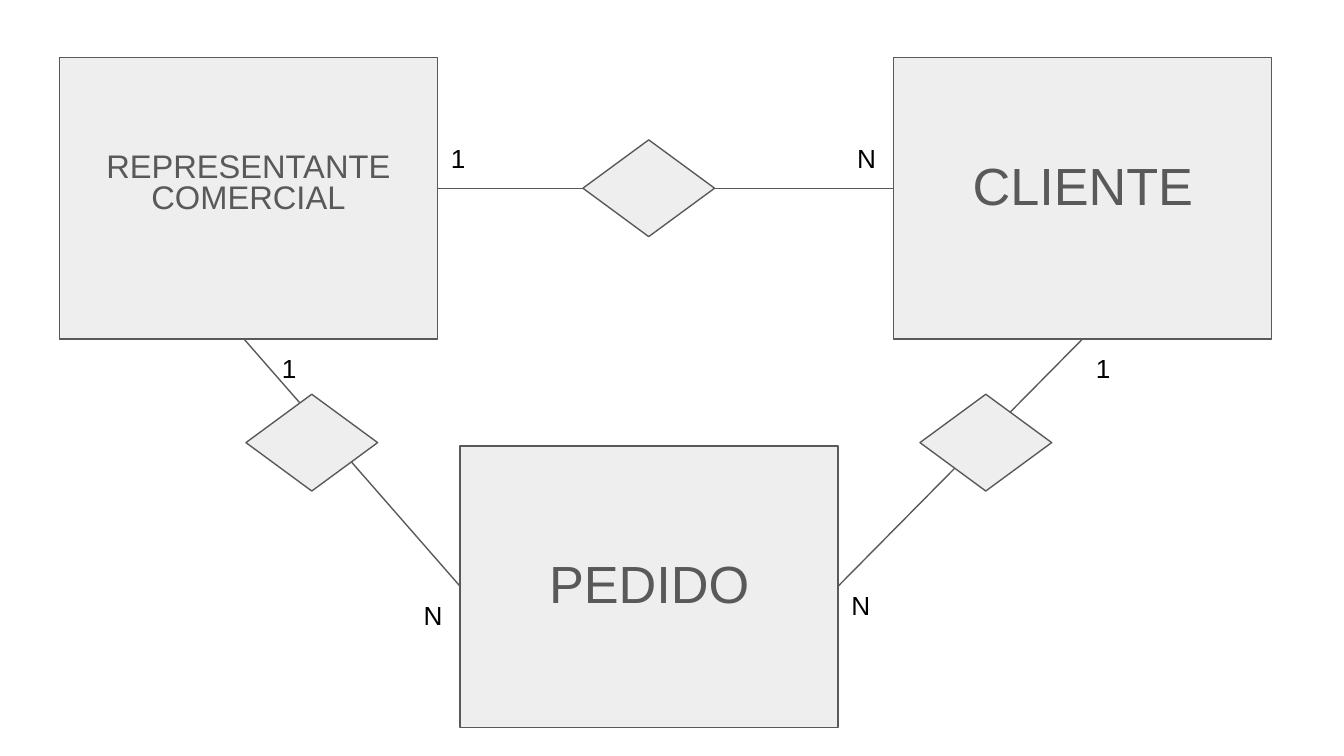
from lxml import etree
from pptx import Presentation
from pptx.dml.color import RGBColor
from pptx.enum.shapes import MSO_CONNECTOR, MSO_SHAPE
from pptx.enum.text import MSO_ANCHOR, MSO_AUTO_SIZE, PP_ALIGN
from pptx.oxml.ns import qn
from pptx.util import Inches, Pt

RECTANGLE = MSO_SHAPE.RECTANGLE
DIAMOND = MSO_SHAPE.DIAMOND
STRAIGHT = MSO_CONNECTOR.STRAIGHT
TOP = MSO_ANCHOR.TOP
LEFT, CENTER = PP_ALIGN.LEFT, PP_ALIGN.CENTER
FIT_SHAPE = MSO_AUTO_SIZE.SHAPE_TO_FIT_TEXT

WIDTH = Inches(10)
HEIGHT = WIDTH * 9 // 16
FILL, GREY, BLACK = "EEEEEE", "595959", "000000"

# Positions and sizes are percentages of the slide's width and height.
ENTITY_SIZE = (28.13, 37.2)
RELATION_SIZE = (9.8, 12.8)
LABEL_SIZE = (3.7, 7.82)
TITLE_HEIGHT = 12.8

UPPER, LOWER = 7.64, 59
UPPER_MIDDLE, LOWER_MIDDLE = 24.9, 77.55
UPPER_BOTTOM = UPPER + ENTITY_SIZE[1]
SELLER, ORDER, CLIENT = 4.43, 34.23, 66.5
SELLER_RIGHT = SELLER + ENTITY_SIZE[0]
ORDER_RIGHT = ORDER + ENTITY_SIZE[0]

ENTITIES = [
    (SELLER, UPPER, UPPER_MIDDLE, "REPRESENTANTE\nCOMERCIAL",
     {"size": 17.5, "spacing": 0.8}),
    (CLIENT, UPPER, UPPER_MIDDLE, "CLIENTE", {"size": 28}),
    (ORDER, LOWER, LOWER_MIDDLE, "PEDIDO", {"size": 28}),
]
LINKS = [
    ((ORDER, LOWER_MIDDLE), (18.15, UPPER_BOTTOM)),
    ((ORDER_RIGHT, LOWER_MIDDLE), (80.55, UPPER_BOTTOM)),
    ((SELLER_RIGHT, UPPER_MIDDLE), (CLIENT, UPPER_MIDDLE)),
]
RELATION_CENTERS = [(73.35, 58.55), (48.27, UPPER_MIDDLE), (23.2, 58.55)]
LABELS = [
    ("1", 20, UPPER_BOTTOM),
    ("1", 80.55, UPPER_BOTTOM),
    ("1", SELLER_RIGHT, UPPER_MIDDLE - LABEL_SIZE[1]),
    ("N", CLIENT - LABEL_SIZE[0], UPPER_MIDDLE - LABEL_SIZE[1]),
    ("N", ORDER_RIGHT, 76.25),
    ("N", ORDER - LABEL_SIZE[0], LOWER_MIDDLE),
]


def color(hex_string):
    return RGBColor.from_string(hex_string)


def place(x, y):
    return round(WIDTH * x / 100), round(HEIGHT * y / 100)


def set_line(line):
    line.color.rgb = color(GREY)
    line.width = Pt(0.75)


def add_block(slide, kind, position, size):
    shape = slide.shapes.add_shape(kind, *place(*position), *place(*size))
    shape.shadow.inherit = False
    shape.fill.solid()
    shape.fill.fore_color.rgb = color(FILL)
    set_line(shape.line)


def add_text(slide, text, position, box_size, *, size, font_color=GREY,
             align=CENTER, spacing=None, auto_size=None):
    shape = slide.shapes.add_textbox(*place(*position), *place(*box_size))
    frame = shape.text_frame
    frame.word_wrap = True
    frame.auto_size = auto_size
    frame.vertical_anchor = TOP
    frame.margin_left = frame.margin_right = Inches(0.1)
    frame.margin_top = frame.margin_bottom = Inches(0.1)
    frame.text = text
    for paragraph in frame.paragraphs:
        paragraph.alignment = align
        paragraph.line_spacing = spacing
        for run in paragraph.runs:
            run.font.name = "Arial"
            run.font.size = Pt(size)
            run.font.color.rgb = color(font_color)


def add_link(slide, start, end):
    connector = slide.shapes.add_connector(STRAIGHT, *place(*start), *place(*end))
    set_line(connector.line)
    properties = connector.element.find(qn("p:spPr"))
    etree.SubElement(properties, qn("a:effectLst"))


def add_entity(slide, x, y, middle, name, text_format):
    add_block(slide, RECTANGLE, (x, y), ENTITY_SIZE)
    add_text(slide, name, (x, middle - TITLE_HEIGHT / 2),
             (ENTITY_SIZE[0], TITLE_HEIGHT), **text_format)


def add_relation(slide, x, y):
    width, height = RELATION_SIZE
    add_block(slide, DIAMOND, (x - width / 2, y - height / 2), RELATION_SIZE)


def main():
    presentation = Presentation()
    presentation.slide_width, presentation.slide_height = WIDTH, HEIGHT
    slide = presentation.slides.add_slide(presentation.slide_layouts[6])
    for entity in ENTITIES:
        add_entity(slide, *entity)
    for start, end in LINKS:
        add_link(slide, start, end)
    for center in RELATION_CENTERS:
        add_relation(slide, *center)
    for text, x, y in LABELS:
        add_text(slide, text, (x, y), LABEL_SIZE, size=14, font_color=BLACK,
                 align=LEFT, auto_size=FIT_SHAPE)
    presentation.save("out.pptx")


if __name__ == "__main__":
    main()
